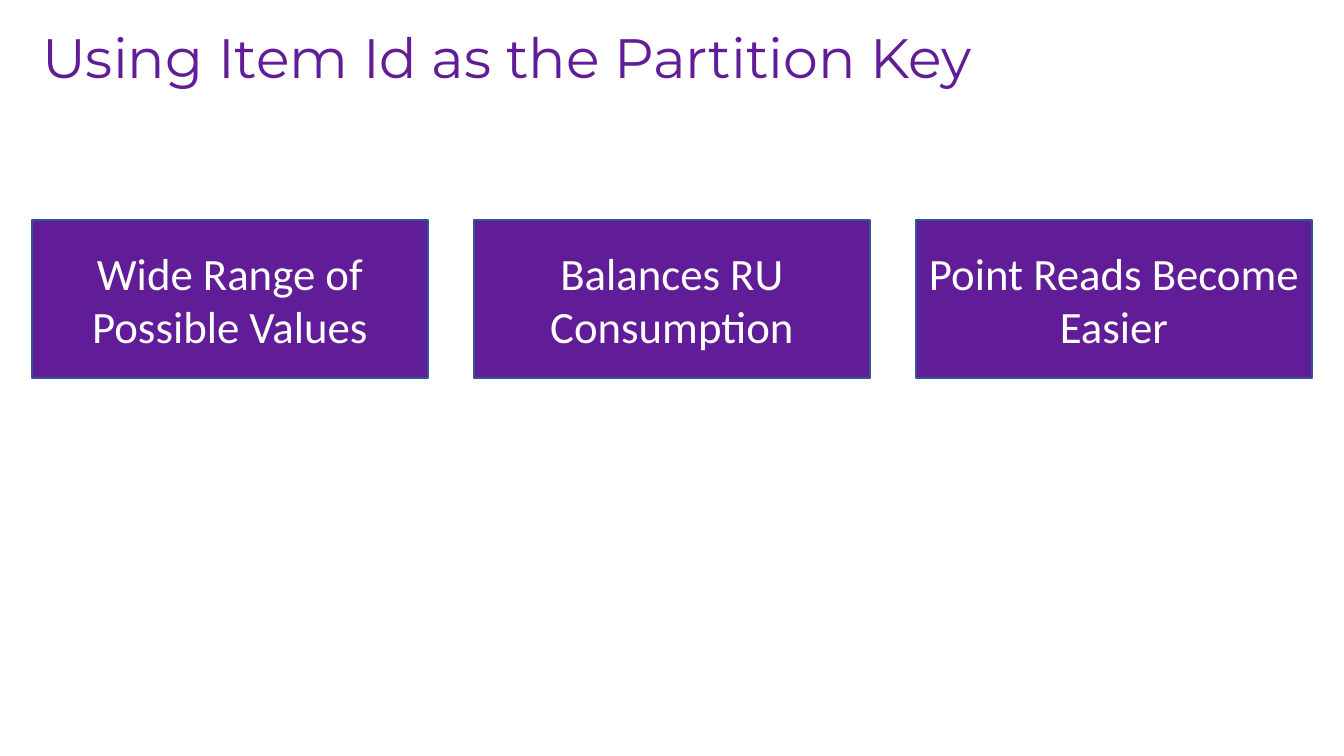
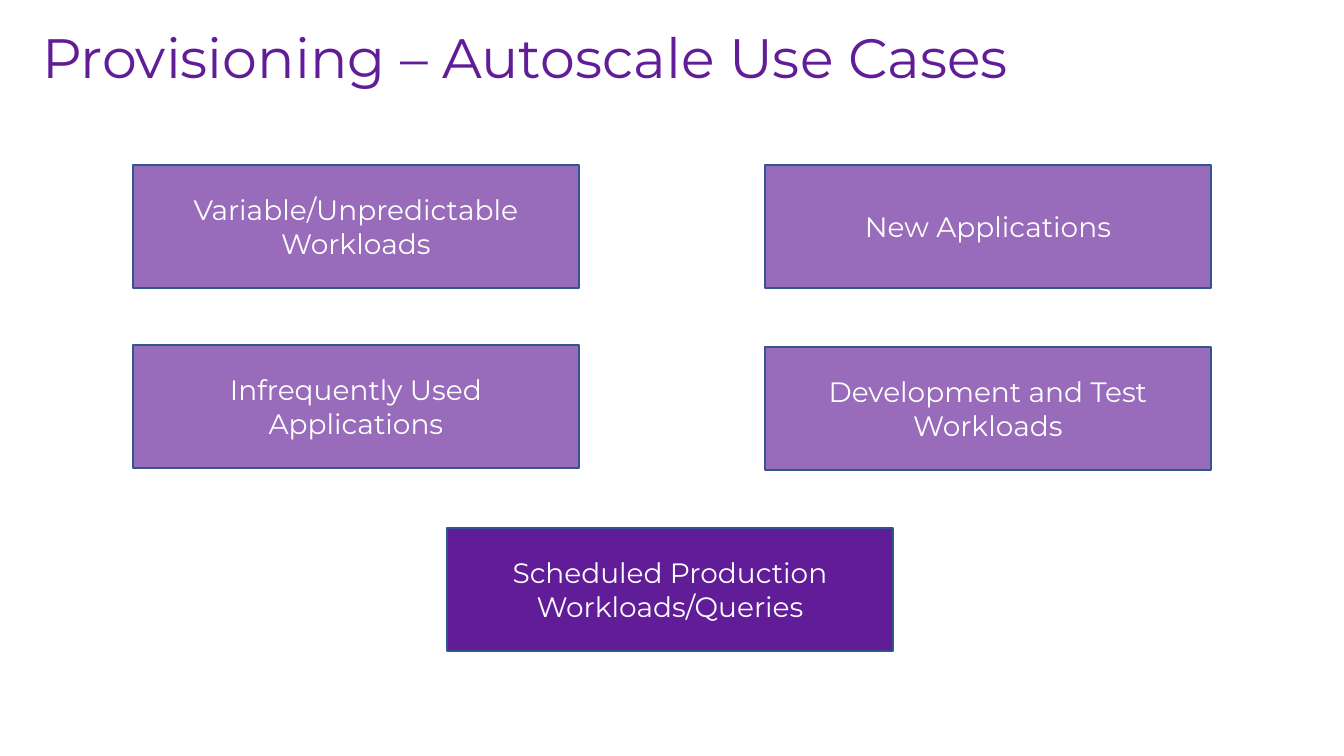
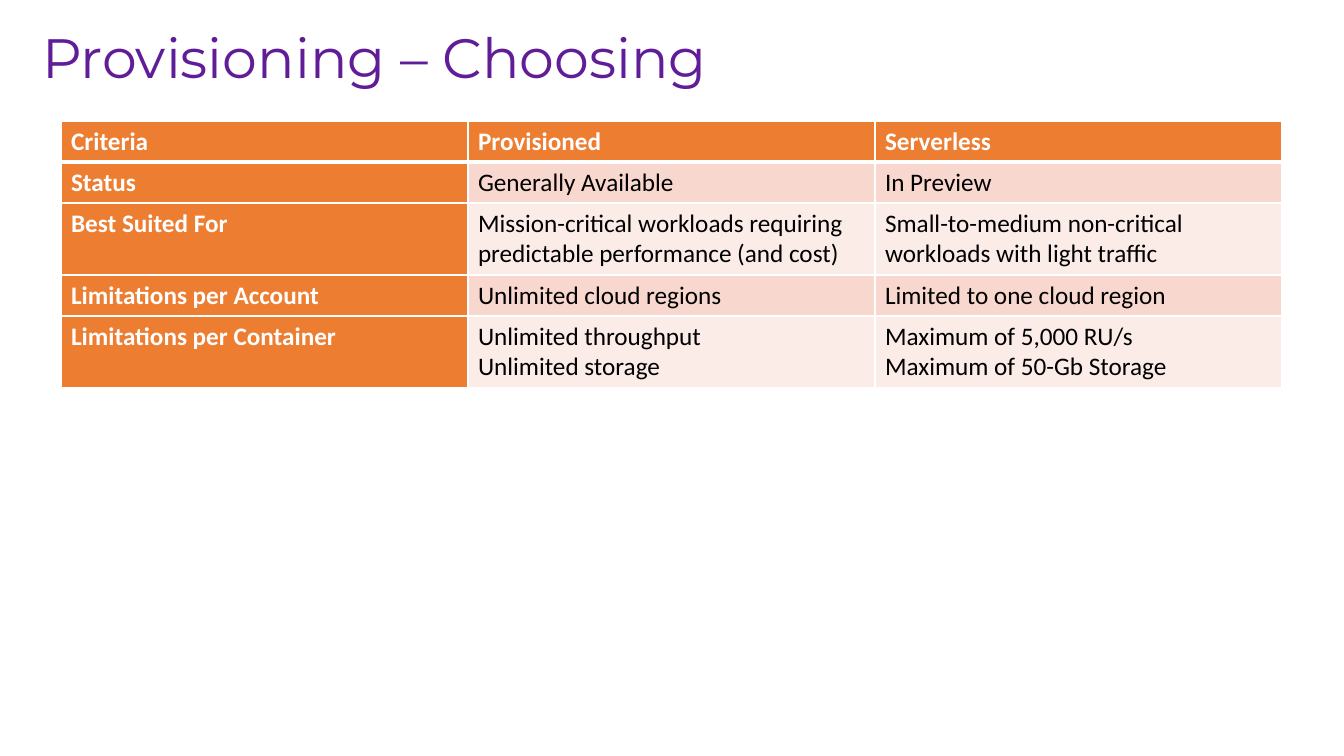
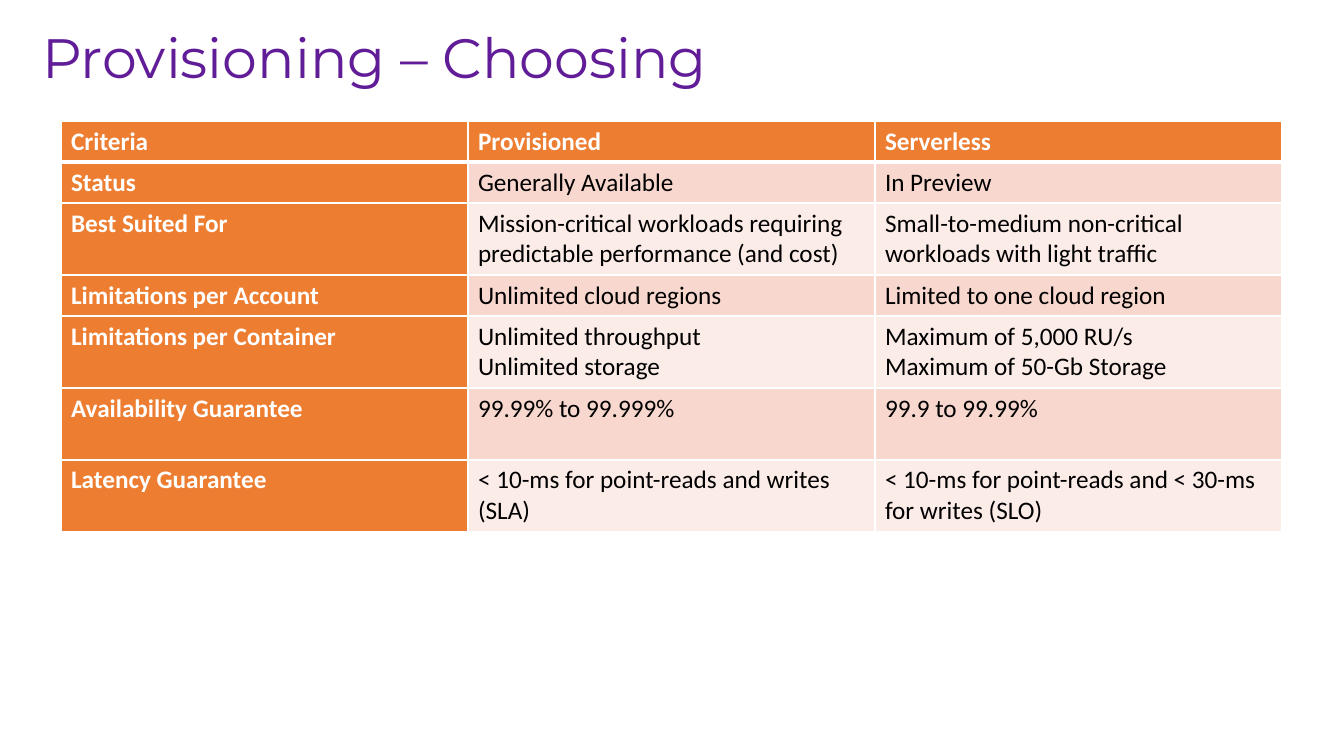
import pptx
import pptx.dml.color
import pptx.enum.shapes
import pptx.enum.text
import pptx.oxml
import pptx.oxml.ns
import pptx.util

PX = 914400 / 100.8
PURPLE, OUTLINE, WHITE, BLACK = "611C97", "325491", "FFFFFF", "000000"
ORANGE, BANDS = "ED7D31", ("F8D7CE", "FCECE8")
HEADING_FONT, BODY_FONT = "Montserrat", "Calibri"
ROW_HEIGHT, TALL_ROW_HEIGHT = 41, 72

BENEFITS = ["Wide Range of Possible Values", "Balances RU Consumption", "Point Reads Become Easier"]
USE_CASES = [
    (133, 165, "Variable/Unpredictable Workloads", 65),
    (765, 165, "New Applications", 65),
    (133, 345, "Infrequently Used Applications", 65),
    (765, 347, "Development and Test Workloads", 65),
    (447, 528, "Scheduled Production Workloads/Queries", 100),
]
CRITERIA = [
    (ROW_HEIGHT, "Criteria", "Provisioned", "Serverless"),
    (ROW_HEIGHT, "Status", "Generally Available", "In Preview"),
    (TALL_ROW_HEIGHT, "Best Suited For",
     "Mission-critical workloads requiring predictable performance (and cost)",
     "Small-to-medium non-critical workloads with light traffic"),
    (ROW_HEIGHT, "Limitations per Account", "Unlimited cloud regions", "Limited to one cloud region"),
    (TALL_ROW_HEIGHT, "Limitations per Container",
     "Unlimited throughput\nUnlimited storage",
     "Maximum of 5,000 RU/s\nMaximum of 50-Gb Storage"),
]
GUARANTEES = [
    (TALL_ROW_HEIGHT, "Availability Guarantee", "99.99% to 99.999%", "99.9 to 99.99%"),
    (TALL_ROW_HEIGHT, "Latency Guarantee",
     "< 10-ms for point-reads and writes (SLA)",
     "< 10-ms for point-reads and < 30-ms for writes (SLO)"),
]


def px(length):
    """Turn pixels into EMU."""
    return pptx.util.Emu(round(length * PX))


def rgb(color):
    """Turn a hex string into a colour."""
    return pptx.dml.color.RGBColor.from_string(color)


def style_text(frame, font, size, color, align, bold=False):
    """Format every run of a text frame."""
    for para in frame.paragraphs:
        para.alignment = align
        for span in para.runs:
            span.font.name = font
            span.font.size = pptx.util.Pt(size)
            span.font.bold = bold
            span.font.color.rgb = rgb(color)


def add_page(deck, text):
    """Add a slide with the shared title style."""
    page = deck.slides.add_slide(deck.slide_layouts[5])
    title = page.shapes.title
    title.left, title.top, title.width, title.height = px(32), px(23), px(1276), px(75)
    frame = title.text_frame
    frame.text = text
    frame.word_wrap = True
    frame.auto_size = pptx.enum.text.MSO_AUTO_SIZE.NONE
    frame.vertical_anchor = pptx.enum.text.MSO_ANCHOR.MIDDLE
    frame.paragraphs[0].line_spacing = 0.9
    style_text(frame, HEADING_FONT, 39.6, PURPLE, pptx.enum.text.PP_ALIGN.LEFT)
    return page


def add_box(page, left, top, width, height, text, font, size, opacity=100):
    """Add a purple rectangle with centred white text."""
    box = page.shapes.add_shape(pptx.enum.shapes.MSO_SHAPE.RECTANGLE,
                                px(left), px(top), px(width), px(height))
    box.shadow.inherit = False
    box.fill.solid()
    box.fill.fore_color.rgb = rgb(PURPLE)
    if opacity < 100:
        color = box.fill._xPr.find(".//" + pptx.oxml.ns.qn("a:srgbClr"))
        color.append(pptx.oxml.parse_xml(
            f'<a:alpha {pptx.oxml.ns.nsdecls("a")} val="{opacity * 1000}"/>'))
    box.line.color.rgb = rgb(OUTLINE)
    box.line.width = pptx.util.Pt(1)
    frame = box.text_frame
    frame.text = text
    frame.word_wrap = True
    frame.vertical_anchor = pptx.enum.text.MSO_ANCHOR.MIDDLE
    style_text(frame, font, size, WHITE, pptx.enum.text.PP_ALIGN.CENTER)


def set_borders(cell, top, bottom):
    """Give a cell white borders, with top and bottom widths in points."""
    properties = cell._tc.get_or_add_tcPr()
    for index, (side, width) in enumerate((("L", 1), ("R", 1), ("T", top), ("B", bottom))):
        properties.insert(index, pptx.oxml.parse_xml(
            f'<a:ln{side} {pptx.oxml.ns.nsdecls("a")} w="{pptx.util.Pt(width)}">'
            f'<a:solidFill><a:srgbClr val="{WHITE}"/></a:solidFill></a:ln{side}>'))


def add_criteria_table(page, rows):
    """Add a table with an orange header row and first column."""
    height = sum(row[0] for row in rows)
    table = page.shapes.add_table(len(rows), 3, px(61), px(121), px(1221), px(height)).table
    table.first_row = table.horz_banding = False
    for column in table.columns:
        column.width = px(407)
    for row_index, (row_height, *texts) in enumerate(rows):
        table.rows[row_index].height = px(row_height)
        for column_index, text in enumerate(texts):
            heading = row_index == 0 or column_index == 0
            cell = table.cell(row_index, column_index)
            cell.text_frame.text = text
            cell.fill.solid()
            cell.fill.fore_color.rgb = rgb(ORANGE if heading else BANDS[(row_index - 1) % 2])
            set_borders(cell, 3 if row_index == 1 else 1, 3 if row_index == 0 else 1)
            style_text(cell.text_frame, BODY_FONT, 18, WHITE if heading else BLACK,
                       pptx.enum.text.PP_ALIGN.LEFT, heading)


def main():
    """Build and save the deck."""
    deck = pptx.Presentation()
    deck.slide_width, deck.slide_height = px(1344), px(756)

    page = add_page(deck, "Using Item Id as the Partition Key")
    width, gap = 396, 46
    for index, text in enumerate(BENEFITS):
        add_box(page, 32 + index * (width + gap), 220, width, 158, text, BODY_FONT, 32)

    page = add_page(deck, "Provisioning – Autoscale Use Cases")
    for left, top, text, opacity in USE_CASES:
        add_box(page, left, top, 446, 123, text, HEADING_FONT, 20, opacity)

    for rows in (CRITERIA, CRITERIA + GUARANTEES):
        add_criteria_table(add_page(deck, "Provisioning – Choosing"), rows)

    deck.save("out.pptx")


if __name__ == "__main__":
    main()
